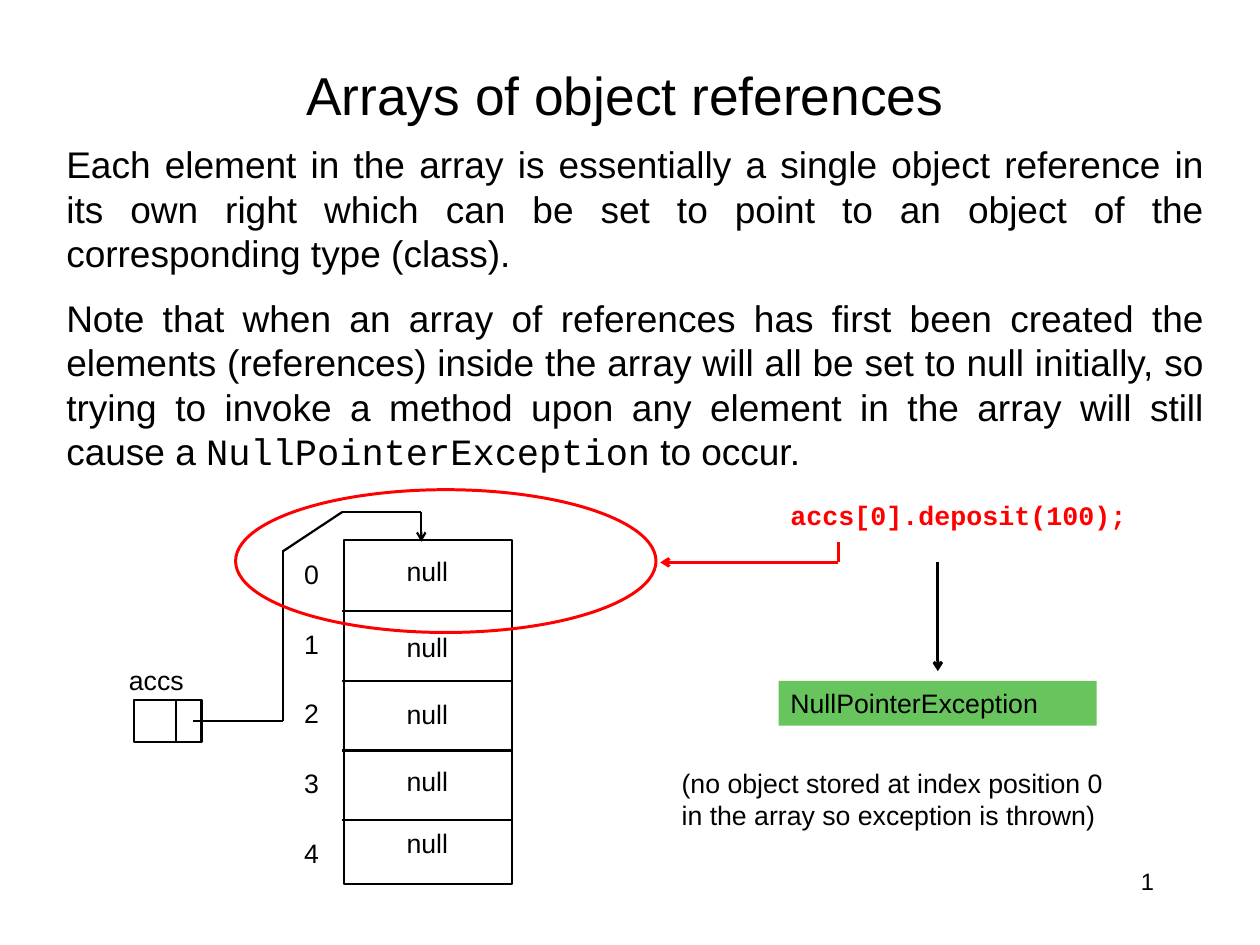
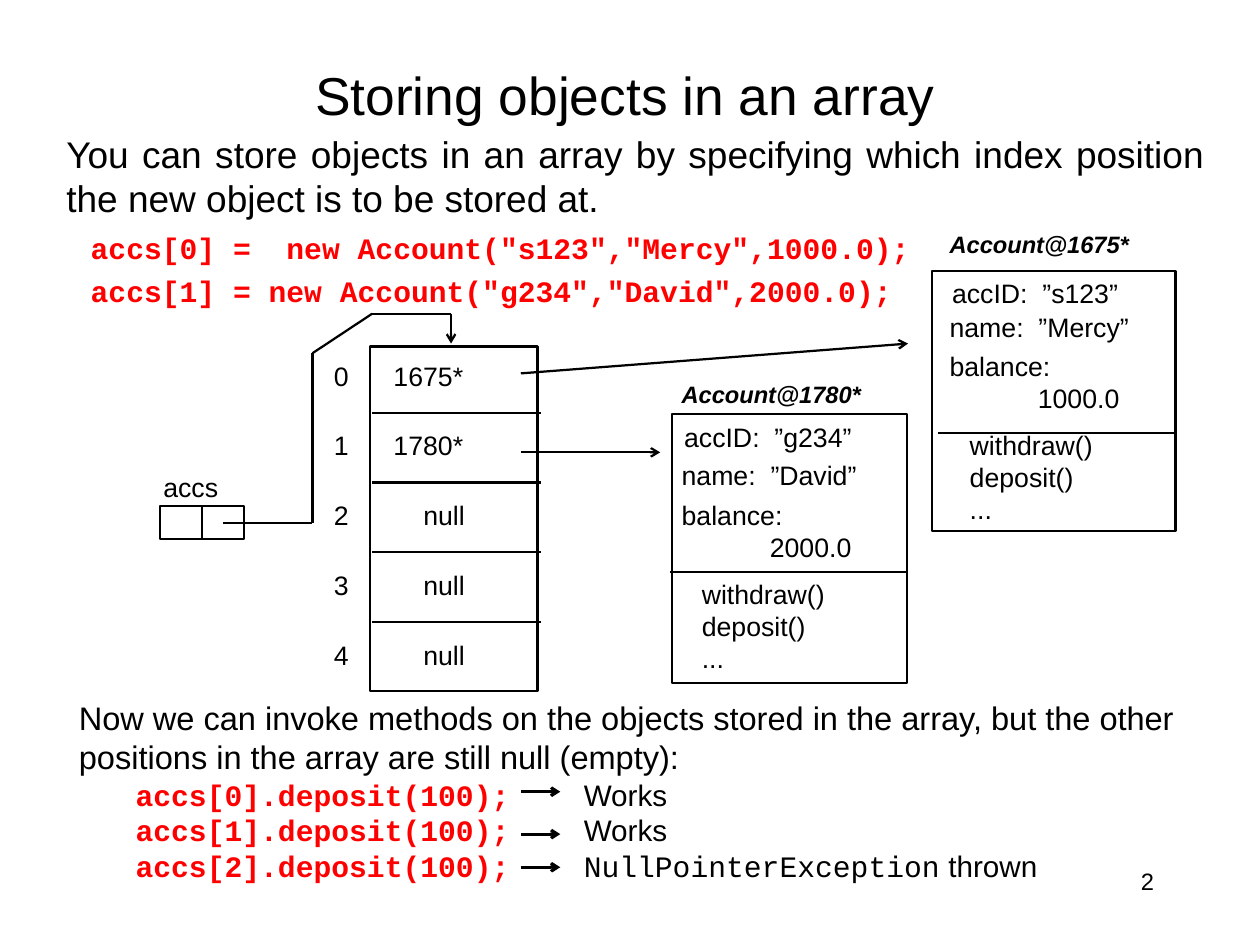
from itertools import pairwise
from lxml import etree
from pptx import Presentation
from pptx import util as u
from pptx.dml.color import RGBColor
from pptx.enum import shapes, text
from pptx.oxml import ns

COLORS = {"ink": "000000", "alert": "FF0000", "error": "68C45C"}
ALIGN = text.PP_ALIGN
PLAIN = {"font": "Arial"}
MONO = {"font": "Courier New"}
CODE = {"font": "Courier New", "color": "alert", "bold": True}
HEADING = {"font": "Arial", "bold": True, "italic": True}

REFERENCES = {
    "title": "Arrays of object references",
    "top": 3.23, "height": 9.17,
    "body": [
        [("Each element in the array is essentially a single object reference in its own right "
          "which can be set to point to an object of the corresponding type (class).", PLAIN)],
        [("Note that when an array of references has first been created the elements (references) "
          "inside the array will all be set to null initially, so trying to invoke a method upon "
          "any element in the array will still cause a ", PLAIN),
         ("NullPointerException", MONO), (" to occur.", PLAIN)],
    ],
}
STORING = {
    "title": "Storing objects in an array",
    "top": 2.97, "height": 3.4,
    "body": [[("You can store objects in an array by specifying which index position the new "
               "object is to be stored at.", PLAIN)]],
}
EMPTY_ARRAY = {
    "left": 8.15, "first_divider": 14.55, "frame": (8.2, 12.85),
    "cells": [("null", 9.4, top) for top in (13.06, 14.86, 16.46, 18.06, 19.53)],
    "label": (2.79, 15.65), "handle": (3.2, 16.66, 1.6, 1.0), "handle_divider": 4.19,
}
FILLED_ARRAY = {
    "left": 8.86, "first_divider": 9.83, "frame": (8.81, 8.25),
    "cells": [(value, left, 8.41 + 1.66 * row) for row, (value, left) in enumerate(
        [("1675*", 9.09), ("1780*", 9.09), ("null", 9.8), ("null", 9.8), ("null", 9.8)])],
    "label": (3.61, 11.05), "handle": (3.81, 12.04, 2.0, 0.8), "handle_divider": 4.81,
}
POINTER = [(-3.56, 2.62), (-1.42, 2.62), (-1.42, -1.42), (0, -2.36), (1.88, -2.36), (1.88, -1.65)]
ROW_STEP = 1.66
METHODS = ["withdraw()", "deposit()", "..."]
ACCOUNTS = [
    {"heading": "Account@1675*", "id": "accID:  ”s123”", "name": "name:  ”Mercy”",
     "balance": "1000.0", "left": 22.33, "frame": (22.2, 6.45, 5.79, 6.2),
     "tops": (5.33, 6.45, 7.24, 8.18, 10.06), "divider": 10.31},
    {"heading": "Account@1780*", "id": "accID:  ”g234”", "name": "name:  ”David”",
     "balance": "2000.0", "left": 15.95, "frame": (16, 9.86, 5.59, 6.4),
     "tops": (8.89, 9.86, 10.77, 11.73, 13.61), "divider": 13.61},
]
ASSIGNMENTS = ['accs[0] =  new Account("s123","Mercy",1000.0);',
               'accs[1] = new Account("g234","David",2000.0);']
CALLS = [
    ("accs[0].deposit(100);", [("Works", PLAIN)]),
    ("accs[1].deposit(100);", [("Works", PLAIN)]),
    ("accs[2].deposit(100);", [("NullPointerException", MONO), (" thrown", PLAIN)]),
]
CALL_ARROW_TOPS = [18.85, 19.86, 20.65]
CLOSING = ["Now we can invoke methods on the objects stored in the array, but the other",
           "positions in the array are still null (empty):"]


def rgb(name):
    return RGBColor.from_string(COLORS[name])


def plain(*lines):
    return [[(line, PLAIN)] for line in lines]


def format_font(font, style, size):
    font.name = style["font"]
    font.size = u.Pt(size)
    font.bold = style.get("bold", False)
    font.italic = style.get("italic", False)
    font.color.rgb = rgb(style.get("color", "ink"))


def fill_text(shape, paras, size=18, wrap=False, align=ALIGN.LEFT, before=0, spacing=None):
    frame = shape.text_frame
    frame.word_wrap = wrap
    frame.vertical_anchor = text.MSO_ANCHOR.TOP
    frame.margin_left = frame.margin_right = u.Cm(0.28)
    frame.margin_top = frame.margin_bottom = u.Cm(0.15)
    for index, spans in enumerate(paras):
        para = frame.add_paragraph() if index else frame.paragraphs[0]
        para.alignment = align
        para.space_before = u.Pt(before)
        if spacing:
            para.line_spacing = spacing
        for content, style in spans:
            span = para.add_run()
            span.text = content
            format_font(span.font, style, size)
    return frame


def add_text(page, at, paras, **layout):
    box = page.shapes.add_textbox(*map(u.Cm, at))
    frame = fill_text(box, paras, **layout)
    frame.auto_size = text.MSO_AUTO_SIZE.SHAPE_TO_FIT_TEXT
    return frame


def add_shape(page, kind, at, line=None, width=1.5, fill=None):
    shape = page.shapes.add_shape(kind, *map(u.Cm, at))
    shape.shadow.inherit = False
    if fill:
        shape.fill.solid()
        shape.fill.fore_color.rgb = rgb(fill)
    else:
        shape.fill.background()
    if line:
        shape.line.color.rgb = rgb(line)
        shape.line.width = u.Pt(width)
    else:
        shape.line.fill.background()
    return shape


def add_line(page, start, end, color="ink", width=1.5, arrow=False):
    line = page.shapes.add_connector(shapes.MSO_CONNECTOR.STRAIGHT, *map(u.Cm, (*start, *end)))
    line.line.color.rgb = rgb(color)
    line.line.width = u.Pt(width)
    properties = line.line._get_or_add_ln()
    if arrow:
        etree.SubElement(properties, ns.qn("a:tailEnd"), type="arrow")
    etree.SubElement(properties.getparent(), ns.qn("a:effectLst"))
    return line


def add_path(page, points, **style):
    segments = list(pairwise(points))
    for index, (start, end) in enumerate(segments):
        add_line(page, start, end, arrow=index == len(segments) - 1, **style)


def add_page_number(page, number):
    frame = add_text(page, (21.51, 20.5, 6.25, 1.5), [[(str(number), PLAIN)]],
                     size=16, wrap=True, align=ALIGN.RIGHT)
    frame.auto_size = text.MSO_AUTO_SIZE.NONE
    run = frame.paragraphs[0].runs[0]._r
    run.tag = ns.qn("a:fld")
    run.set("id", "{B6F15528-21DE-4FAA-801E-634DDDAF4B2B}")
    run.set("type", "slidenum")


def add_page(deck, content, number):
    page = deck.slides.add_slide(deck.slide_layouts[5])
    title = page.shapes.title
    title.left, title.top, title.width, title.height = map(u.Cm, (2, 1.32, 25.76, 1.83))
    fill_text(title, plain(content["title"]), size=36, wrap=True, align=ALIGN.CENTER)
    title.text_frame.auto_size = text.MSO_AUTO_SIZE.NONE
    add_page_number(page, number)
    add_text(page, (1.3, content["top"], 27.64, content["height"]), content["body"],
             size=25, wrap=True, align=ALIGN.JUSTIFY, before=13.5)
    return page


def add_array(page, array):
    left, first = array["left"], array["first_divider"]
    add_shape(page, shapes.MSO_SHAPE.RECTANGLE, (*array["frame"], 3.99, 8.2), "ink")
    for row, (value, value_left, value_top) in enumerate(array["cells"]):
        divider = first + ROW_STEP * row
        if row < len(array["cells"]) - 1:
            add_line(page, (left, divider), (left + 4.01, divider))
        add_text(page, (left - 1.19, divider - 1.42, 0.94, 1.07), plain(str(row)))
        width = 1.57 if value == "null" else 2.26
        add_text(page, (value_left, value_top, width, 1.07), plain(value))
    add_path(page, [(left + x, first + y) for x, y in POINTER])
    add_text(page, (*array["label"], 2.59, 1.07), plain("accs"), wrap=True)
    x, y, width, height = array["handle"]
    handle = add_shape(page, shapes.MSO_SHAPE.RECTANGLE, array["handle"], "ink")
    middle = array["handle_divider"]
    divider = add_line(page, (middle, y), (middle, y + height))
    if abs(middle - x - width / 2) < 0.01:
        divider.begin_connect(handle, 0)
        divider.end_connect(handle, 2)


def add_account(page, account):
    left = account["left"]
    heading, id_top, name, balance, methods = account["tops"]
    add_shape(page, shapes.MSO_SHAPE.RECTANGLE, account["frame"], "ink")
    add_text(page, (left, heading, 4.9, 0.97), [[(account["heading"], HEADING)]], size=16)
    add_text(page, (left + 0.06, id_top, 4.58, 1.07), plain(account["id"]))
    add_text(page, (left, name, 4.85, 1.07), plain(account["name"]))
    frame = add_text(page, (left, balance, 4.67, 1.83), plain("balance:", account["balance"]))
    frame.paragraphs[1]._p.get_or_add_pPr().set("marL", str(u.Cm(2.1)))
    add_line(page, (left, account["divider"]), (left + 5.66, account["divider"]))
    add_text(page, (left + 0.48, methods, 3.53, 2.59), plain(*METHODS))


def build_references(deck):
    page = add_page(deck, REFERENCES, 4)
    add_array(page, EMPTY_ARRAY)
    add_shape(page, shapes.MSO_SHAPE.OVAL, (5.61, 11.66, 10.01, 3.4), "alert", 2)
    add_text(page, (18.54, 11.73, 8.86, 1.83), [[("accs[0].deposit(100);", CODE)]], wrap=True)
    add_path(page, [(19.96, 12.9), (19.96, 13.39), (15.72, 13.39)], color="alert", width=2)
    add_line(page, (22.33, 13.39), (22.33, 15.98), width=2, arrow=True)
    error = add_shape(page, shapes.MSO_SHAPE.RECTANGLE, (18.54, 16.21, 7.57, 1.07), fill="error")
    fill_text(error, plain("NullPointerException"), wrap=True)
    add_text(page, (15.95, 18.11, 10.87, 1.83),
             plain("(no object stored at index position 0", "in the array so exception is thrown)"))


def build_storing(deck):
    page = add_page(deck, STORING, 5)
    add_text(page, (1.88, 5.59, 20.24, 1.98), [[(line, CODE)] for line in ASSIGNMENTS],
             size=20, align=ALIGN.JUSTIFY, before=13.5, spacing=0.65)
    add_array(page, FILLED_ARRAY)
    for account in ACCOUNTS:
        add_account(page, account)
    add_line(page, (12.4, 8.89), (21.62, 8.18), arrow=True)
    add_line(page, (12.4, 10.77), (15.72, 10.77), arrow=True)
    add_text(page, (1.6, 16.46, 27.2, 2.95), plain(*CLOSING), size=22)
    calls = [[(call + "\t", CODE), *outcome] for call, outcome in CALLS]
    frame = add_text(page, (2.95, 18.34, 22.2, 2.84), calls, size=20)
    for para in frame.paragraphs:
        tabs = etree.SubElement(para._p.get_or_add_pPr(), ns.qn("a:tabLst"))
        etree.SubElement(tabs, ns.qn("a:tab"), pos=str(u.Cm(10.67)), algn="l")
    for top in CALL_ARROW_TOPS:
        add_line(page, (12.4, top), (13.34, top), width=2, arrow=True)


def main():
    deck = Presentation()
    deck.slide_width, deck.slide_height = u.Cm(30), u.Cm(22.5)
    build_references(deck)
    build_storing(deck)
    deck.save("out.pptx")


if __name__ == "__main__":
    main()
